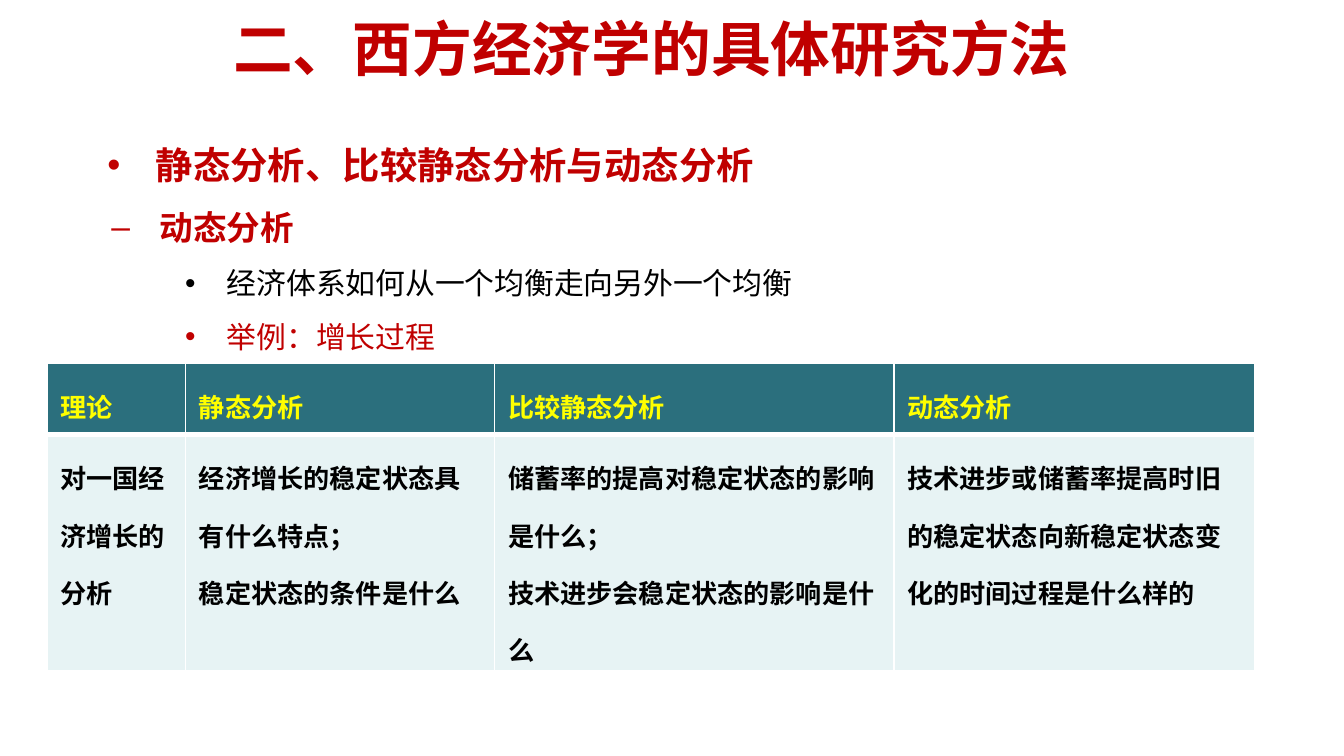
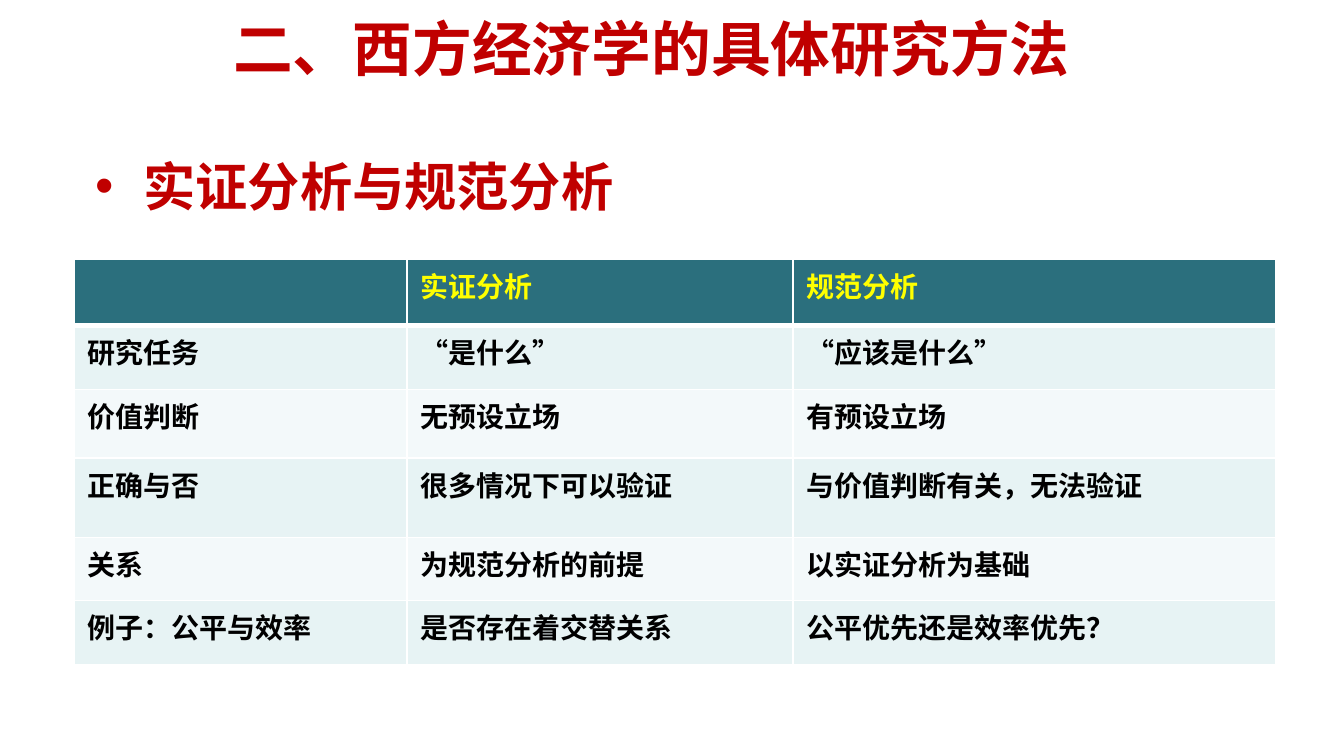
import pptx
import pptx.util
import pptx.dml.color
import pptx.enum.lang
import pptx.enum.text
import pptx.oxml
import pptx.oxml.ns

Inches = pptx.util.Inches
Pt = pptx.util.Pt
RGBColor = pptx.dml.color.RGBColor
ANCHOR = pptx.enum.text.MSO_ANCHOR
CENTER = pptx.enum.text.PP_ALIGN.CENTER
CHINESE = pptx.enum.lang.MSO_LANGUAGE_ID.SIMPLIFIED_CHINESE

RED = RGBColor(0xC0, 0x00, 0x00)
INK = RGBColor(0x00, 0x00, 0x00)
YELLOW = RGBColor(0xFF, 0xFF, 0x00)
WHITE = RGBColor(0xFF, 0xFF, 0xFF)
TEAL = RGBColor(0x2B, 0x6F, 0x7D)
BANDS = (RGBColor(0xE7, 0xF3, 0xF4), RGBColor(0xF3, 0xF9, 0xFA))

TITLE = "二、西方经济学的具体研究方法"
TITLE_BOX = (0.35, 0, 9, 0.71)
LEVELS = (
    {"bullet": "•", "margin": 0.47, "indent": -0.36},
    {"bullet": "–", "margin": 0.5, "indent": -0.36},
    {"bullet": "•", "margin": 1.0, "indent": -0.31},
)

SLIDES = [
    {
        "outline_box": (0.59, 0.84, 9, 3.92),
        "outline_spacing": 1.5,
        "outline": [
            ("静态分析、比较静态分析与动态分析", 0, 20, RED, True),
            ("动态分析", 1, 18, RED, True),
            ("经济体系如何从一个均衡走向另外一个均衡", 2, 16, INK, False),
            ("举例：增长过程", 2, 16, RED, False),
        ],
        "table_at": (0.35, 2.7),
        "columns": (1.03, 2.3, 2.97, 2.69),
        "rows": (0.53, 1.76),
        "table_size": 14,
        "table_spacing": 1.5,
        "table": [
            ("理论", "静态分析", "比较静态分析", "动态分析"),
            (
                "对一国经济增长的分析",
                "经济增长的稳定状态具有什么特点；\n稳定状态的条件是什么",
                "储蓄率的提高对稳定状态的影响是什么；\n技术进步会稳定状态的影响是什么",
                "技术进步或储蓄率提高时旧的稳定状态向新稳定状态变化的时间过程是什么样的",
            ),
        ],
    },
    {
        "outline_box": (0.5, 1.1, 9, 0.53),
        "outline_spacing": 1.0,
        "outline": [("实证分析与规范分析", 0, 28, RED, True)],
        "table_at": (0.55, 1.93),
        "columns": (2.48, 2.87, 3.59),
        "rows": (0.49, 0.48, 0.51, 0.59, 0.47, 0.48),
        "table_size": 15,
        "table_spacing": 1.0,
        "table": [
            ("", "实证分析", "规范分析"),
            ("研究任务", "“是什么”", "“应该是什么”"),
            ("价值判断", "无预设立场", "有预设立场"),
            ("正确与否", "很多情况下可以验证", "与价值判断有关，无法验证"),
            ("关系", "为规范分析的前提", "以实证分析为基础"),
            ("例子：公平与效率", "是否存在着交替关系", "公平优先还是效率优先？"),
        ],
    },
]


def write(paragraph, text, *, size, color, font, bold=True, spacing=1.0, align=None):
    """Add formatted text to a paragraph."""
    paragraph.line_spacing = spacing
    paragraph.alignment = align
    run = paragraph.add_run()
    run.text = text
    run.font.size = Pt(size)
    run.font.name = font
    run.font.bold = bold
    run.font.color.rgb = color
    run.font.language_id = CHINESE


def add_xml(parent, xml):
    """Append a drawing element given as text without its namespace."""
    tag, rest = xml[1:].split(" ", 1)
    namespace = pptx.oxml.ns.nsdecls("a")
    parent.append(pptx.oxml.parse_xml(f"<{tag} {namespace} {rest}"))


def set_bullet(paragraph, bullet, margin, indent):
    """Give a paragraph its bullet and hanging indent."""
    properties = paragraph._p.get_or_add_pPr()
    properties.set("marL", str(Inches(margin)))
    properties.set("indent", str(Inches(indent)))
    add_xml(properties, '<a:buFont typeface="Arial"/>')
    add_xml(properties, f'<a:buChar char="{bullet}"/>')


def set_borders(cell, top, bottom):
    """Draw white borders, with the given widths above and below."""
    properties = cell._tc.get_or_add_tcPr()
    for side, width in (("L", 1), ("R", 1), ("T", top), ("B", bottom)):
        add_xml(
            properties,
            f'<a:ln{side} w="{Pt(width)}"><a:solidFill><a:srgbClr val="{WHITE}"/>'
            f"</a:solidFill></a:ln{side}>",
        )


def add_title(slide):
    """Place the shared title."""
    title = slide.shapes.title
    title.left, title.top, title.width, title.height = map(Inches, TITLE_BOX)
    title.text_frame.vertical_anchor = ANCHOR.MIDDLE
    write(title.text_frame.paragraphs[0], TITLE, size=32, color=RED,
          font="Noto Sans CJK SC", align=CENTER)


def add_outline(slide, content):
    """Add the bulleted outline."""
    box = slide.shapes.add_textbox(*map(Inches, content["outline_box"]))
    frame = box.text_frame
    frame.word_wrap = True
    for index, (text, level, size, color, bold) in enumerate(content["outline"]):
        paragraph = frame.add_paragraph() if index else frame.paragraphs[0]
        paragraph.level = level
        write(paragraph, text, size=size, color=color, font="Calibri", bold=bold,
              spacing=content["outline_spacing"])
        set_bullet(paragraph, **LEVELS[level])


def add_comparison(slide, content):
    """Add the comparison table with its header and banded rows."""
    columns, rows = content["columns"], content["rows"]
    table = slide.shapes.add_table(
        len(rows), len(columns), *map(Inches, content["table_at"]),
        Inches(sum(columns)), Inches(sum(rows)),
    ).table
    for column, width in zip(table.columns, columns):
        column.width = Inches(width)
    for r, (height, texts) in enumerate(zip(rows, content["table"])):
        table.rows[r].height = Inches(height)
        for c, text in enumerate(texts):
            cell = table.cell(r, c)
            cell.margin_left = cell.margin_right = Inches(0.1)
            cell.margin_top = cell.margin_bottom = Inches(0.04)
            set_borders(cell, 3 if r == 1 else 1, 1 if r else 3)
            cell.fill.solid()
            cell.fill.fore_color.rgb = BANDS[(r - 1) % 2] if r else TEAL
            frame = cell.text_frame
            for index, line in enumerate(text.splitlines()):
                paragraph = frame.add_paragraph() if index else frame.paragraphs[0]
                write(paragraph, line, size=content["table_size"],
                      color=INK if r else YELLOW, font="Arial",
                      spacing=content["table_spacing"])


def main():
    """Build the slides and save them."""
    deck = pptx.Presentation()
    deck.slide_width = Inches(10)
    deck.slide_height = deck.slide_width * 9 // 16
    for content in SLIDES:
        slide = deck.slides.add_slide(deck.slide_layouts[5])
        add_title(slide)
        add_outline(slide, content)
        add_comparison(slide, content)
    deck.save("out.pptx")


if __name__ == "__main__":
    main()
